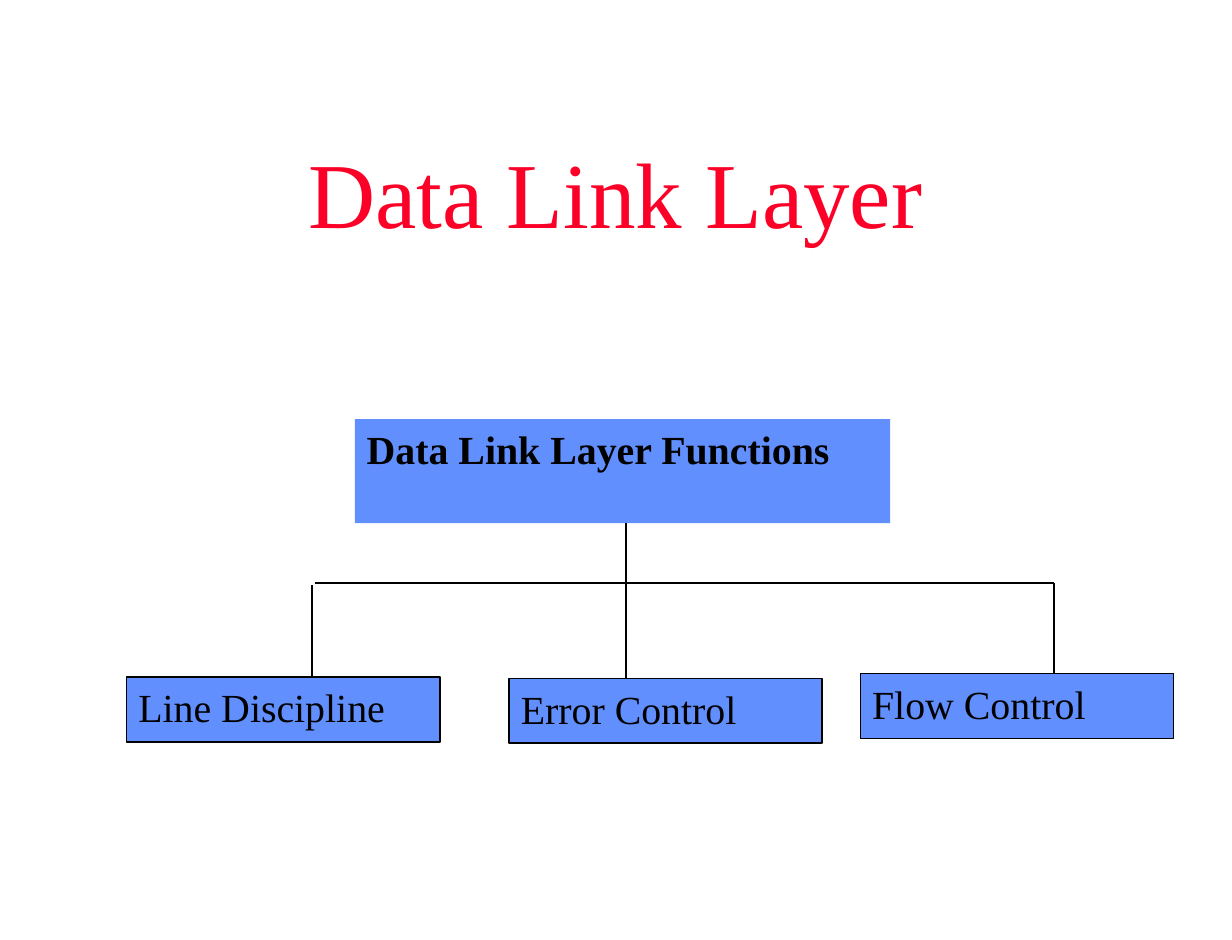
from pptx import Presentation
from pptx.dml.color import RGBColor
from pptx.enum.shapes import MSO_CONNECTOR, MSO_SHAPE
from pptx.enum.text import MSO_ANCHOR, PP_ALIGN
from pptx.util import Inches, Pt
from lxml import etree

RECT, LINE = MSO_SHAPE.RECTANGLE, MSO_CONNECTOR.STRAIGHT
TOP, BOTTOM = MSO_ANCHOR.TOP, MSO_ANCHOR.BOTTOM
LEFT, CENTER = PP_ALIGN.LEFT, PP_ALIGN.CENTER
A_NS = "http://schemas.openxmlformats.org/drawingml/2006/main"
COLORS = {"title": "FC0128", "box": "618FFD", "ink": "000000"}
FONT = "Times New Roman"
WIDTH, HEIGHT = 10.31, 7.87

# Each function: label, box offset (x, y) in the chart, drop x, drop top
FUNCTIONS = [
    ("Line Discipline", 0, 2.16, 1.55, 1.39),
    ("Error Control", 3.2, 2.17, 4.18, 1.38),
    ("Flow Control", 6.14, 2.13, 7.76, 1.37),
]


def rgb(name):
    return RGBColor.from_string(COLORS[name])


def write(s, text, size=24, color="ink", bold=False, align=LEFT, anchor=TOP):
    tf = s.text_frame
    tf.word_wrap = True
    tf.vertical_anchor = anchor
    p = tf.paragraphs[0]
    p.alignment = align
    r = p.add_run()
    r.text = text
    r.font.name, r.font.size, r.font.bold = FONT, Pt(size), bold
    r.font.color.rgb = rgb(color)


def add_box(slide, box, text, outlined=True, **fmt):
    s = slide.shapes.add_shape(RECT, *map(Inches, box))
    s.shadow.inherit = False
    s.fill.solid()
    s.fill.fore_color.rgb = rgb("box")
    if outlined:
        s.line.color.rgb = rgb("ink")
        s.line.width = Pt(1)
    else:
        s.line.fill.background()
    write(s, text, **fmt)


def add_line(slide, x1, y1, x2, y2):
    c = slide.shapes.add_connector(LINE, *map(Inches, (x1, y1, x2, y2)))
    c.line.color.rgb = rgb("ink")
    c.line.width = Pt(1)
    etree.SubElement(c._element.spPr, f"{{{A_NS}}}effectLst")


def add_title(slide, box, text):
    s = slide.shapes.add_textbox(*map(Inches, box))
    s.text_frame.margin_bottom = 0
    write(s, text, size=56, color="title", align=CENTER, anchor=BOTTOM)


def add_function_chart(slide, box):
    left, top, width, height = box
    child_w, child_h = 0.3 * width, 0.2 * height
    stem_x, bar_y = left + 4.18, top + 1.37

    # Parent box
    parent_h = 0.32 * height
    add_box(slide, (left + 1.91, top, 4.48, parent_h),
            "Data Link Layer Functions", outlined=False, bold=True)

    # Stem and crossbar
    add_line(slide, stem_x, top + parent_h, stem_x, bar_y)
    add_line(slide, left + 1.58, bar_y, left + FUNCTIONS[-1][3], bar_y)

    # Function boxes, each with its drop line
    for label, x, y, drop_x, drop_y in FUNCTIONS:
        add_box(slide, (left + x, top + y, child_w, child_h), label)
        add_line(slide, left + drop_x, top + drop_y, left + drop_x, top + y)


def main():
    prs = Presentation()
    prs.slide_width, prs.slide_height = Inches(WIDTH), Inches(HEIGHT)
    slide = prs.slides.add_slide(prs.slide_layouts[6])
    add_title(slide, (0.77, 0.1 * HEIGHT, 0.85 * WIDTH, 1.28), "Data Link Layer")
    add_function_chart(slide, (1.06, 3.51, 8.74, 2.72))
    prs.save("out.pptx")


if __name__ == "__main__":
    main()
